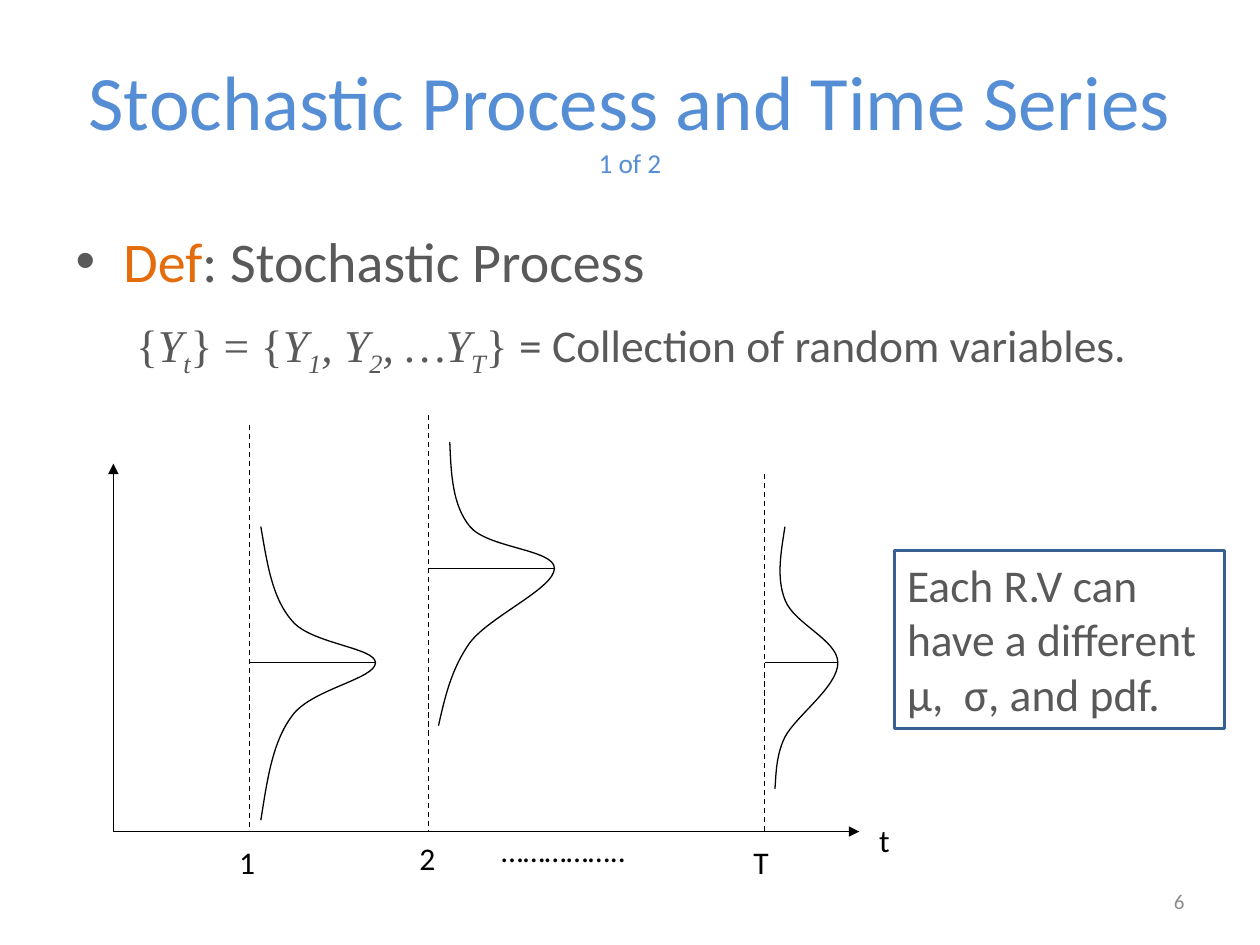
from lxml import etree
from pptx import Presentation
from pptx.dml.color import RGBColor
from pptx.enum.dml import MSO_LINE_DASH_STYLE as DASH
from pptx.enum.shapes import MSO_CONNECTOR as CONN, MSO_SHAPE as SHAPE
from pptx.enum.text import MSO_ANCHOR as ANCHOR, MSO_AUTO_SIZE as FIT, PP_ALIGN as ALIGN
from pptx.oxml.ns import qn
from pptx.util import Inches, Pt

COLORS = {"title": "558ED5", "text": "595959", "accent": "E46C0A",
          "number": "8C8C8C", "line": "000000", "border": "376092"}


def add_run(p, text, size, color, name="Calibri", italic=False, sub=False):
    r = p.add_run()
    r.text = text
    for key, value in {"size": Pt(size), "name": name, "italic": italic}.items():
        setattr(r.font, key, value)
    r.font.color.rgb = RGBColor.from_string(COLORS[color])
    if sub:
        r.font._element.set("baseline", "-25000")


def add_line(x1, y1, x2, y2, dashed=False, arrow=False):
    line = s.shapes.add_connector(CONN.STRAIGHT, *map(Inches, (x1, y1, x2, y2)))
    line.line.width = Pt(0.75)
    line.line.color.rgb = RGBColor.from_string(COLORS["line"])
    if dashed:
        line.line.dash_style = DASH.DASH
    if arrow:
        etree.SubElement(line.line._get_or_add_ln(), qn("a:tailEnd"), type="triangle")
    etree.SubElement(line._element.spPr, qn("a:effectLst"))


prs = Presentation()
prs.slide_width, prs.slide_height = Inches(10), Inches(7.5)
s = prs.slides.add_slide(prs.slide_layouts[1])

# Title and body placeholders
title, body = s.placeholders
for sp, (top, height) in ((title, (0.3, 1.25)), (body, (1.75, 4.95))):
    sp.left, sp.top, sp.width, sp.height = map(Inches, (0.5, top, 9, height))
    sp.text_frame.auto_size = FIT.NONE
    sp.text_frame.word_wrap = True

title.text_frame.vertical_anchor = ANCHOR.MIDDLE
p = title.text_frame.paragraphs[0]
p.alignment = ALIGN.CENTER
add_run(p, "Stochastic Process and Time Series ", 44, "title")
add_run(p, "1 of 2", 15.6, "title")

# Definition with its bullet
p = body.text_frame.paragraphs[0]
p.space_before = Pt(0)
pPr = p._p.get_or_add_pPr()
pPr.set("marL", str(Inches(0.38)))
pPr.set("indent", str(Inches(-0.38)))
bullet_color = etree.SubElement(pPr, qn("a:buClr"))
etree.SubElement(bullet_color, qn("a:srgbClr"), val=COLORS["text"])
etree.SubElement(pPr, qn("a:buChar"), char="•")
add_run(p, "Def", 32, "accent")
add_run(p, ": Stochastic Process", 32, "text")

# Formula: text, italic, subscript
p = body.text_frame.add_paragraph()
p.space_before = Pt(13)
pPr = p._p.get_or_add_pPr()
pPr.set("marL", str(Inches(0.48)))
pPr.set("indent", "0")
etree.SubElement(pPr, qn("a:buNone"))
for text, italic, sub in (
        ("{", False, False), ("Y", True, False), ("t", True, True),
        ("} = {", False, False), ("Y", True, False), ("1", True, True),
        (", Y", True, False), ("2", True, True),
        (", …Y", True, False), ("T", True, True), ("} ", False, False)):
    add_run(p, text, 26, "text", "Times New Roman", italic, sub)
add_run(p, "= Collection of random variables.", 26, "text")

# Axes
BASE = 6.6
add_line(0.9, BASE, 6.82, BASE, arrow=True)
add_line(0.9, BASE, 0.9, 3.68, arrow=True)

# Time points: x, top of dashed line, peak x, peak y
for x, top, peak_x, peak_y in ((1.98, 3.37, 2.98, 5.26), (3.4, 3.29, 4.4, 4.51),
                               (6.07, 3.76, 6.65, 5.26)):
    add_line(x, top, x, BASE, dashed=True)
    add_line(x, peak_y, peak_x, peak_y)

# Density curves: start point, then three points per Bezier segment
CURVES = (
    ((2.07, 4.18), (2.12, 4.47), (2.16, 4.75), (2.32, 4.93), (2.47, 5.11),
     (2.98, 5.14), (2.98, 5.26), (2.98, 5.39), (2.47, 5.47), (2.32, 5.68),
     (2.16, 5.89), (2.12, 6.2), (2.07, 6.51)),
    ((3.57, 3.51), (3.58, 3.76), (3.59, 4.01), (3.73, 4.18), (3.87, 4.35),
     (4.4, 4.36), (4.4, 4.51), (4.4, 4.67), (3.89, 4.89), (3.73, 5.1),
     (3.58, 5.31), (3.53, 5.54), (3.48, 5.76)),
    ((6.23, 4.18), (6.2, 4.38), (6.16, 4.58), (6.23, 4.76), (6.3, 4.95),
     (6.65, 5.08), (6.65, 5.26), (6.65, 5.45), (6.32, 5.68), (6.23, 5.85),
     (6.15, 6.01), (6.16, 6.2), (6.15, 6.26)),
)
for start, *points in CURVES:
    builder = s.shapes.build_freeform(*map(Inches, start))
    builder.add_line_segments([(Inches(x), Inches(y)) for x, y in points], close=False)
    curve = builder.convert_to_shape()
    curve.shadow.inherit = False
    curve.fill.background()
    curve.line.width = Pt(0.75)
    curve.line.color.rgb = RGBColor.from_string(COLORS["line"])
    # Turn every three straight segments into one cubic segment
    segments = list(curve._element.iter(qn("a:lnTo")))
    path = segments[0].getparent()
    for i in range(0, len(segments), 3):
        cubic = etree.SubElement(path, qn("a:cubicBezTo"))
        for segment in segments[i:i + 3]:
            cubic.append(segment[0])
            path.remove(segment)

# Axis labels
for text, left, top, width in (("1", 1.8, 6.64, 0.34), ("2", 3.23, 6.61, 0.34),
                               ("t", 6.88, 6.47, 0.27), ("T", 5.88, 6.64, 0.35),
                               ("……………..", 3.88, 6.55, 1.59)):
    tf = s.shapes.add_textbox(*map(Inches, (left, top, width, 0.4))).text_frame
    tf.word_wrap = False
    tf.auto_size = FIT.SHAPE_TO_FIT_TEXT
    add_run(tf.paragraphs[0], text, 18, "line")

# Note box
note = s.shapes.add_shape(SHAPE.RECTANGLE, *map(Inches, (7.1, 4.37, 2.62, 1.41)))
note.shadow.inherit = False
note.fill.background()
note.line.width = Pt(1.5)
note.line.color.rgb = RGBColor.from_string(COLORS["border"])
tf = note.text_frame
tf.word_wrap = True
tf.auto_size = FIT.SHAPE_TO_FIT_TEXT
tf.vertical_anchor = ANCHOR.TOP
p = tf.paragraphs[0]
p.alignment = ALIGN.LEFT
add_run(p, "Each R.V can have a different μ,  σ, and pdf.", 26, "text")

# Slide number
tf = s.shapes.add_textbox(*map(Inches, (7.17, 6.95, 2.33, 0.4))).text_frame
tf.word_wrap = True
tf.vertical_anchor = ANCHOR.MIDDLE
p = tf.paragraphs[0]
p.alignment = ALIGN.RIGHT
add_run(p, "6", 12, "number")

prs.save("out.pptx")
